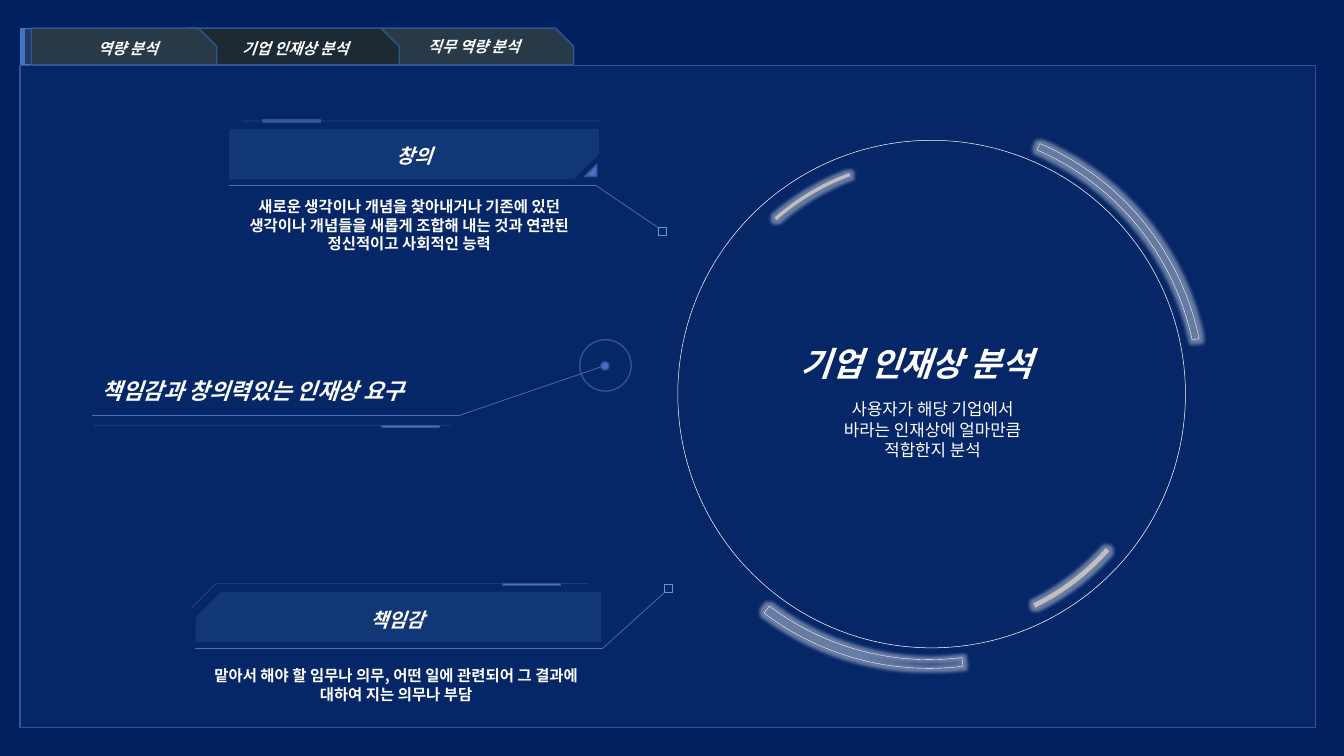
from lxml import etree
from pptx import Presentation, util as u
from pptx.dml.color import RGBColor
from pptx.enum import shapes as es, text as et
from pptx.oxml import ns

FONT = "Noto Sans CJK KR"
WHITE, SILVER = "FFFFFF", "BFBFBF"
NAVY, EDGE, BLUE, SKY = "002060", "325491", "4472C4", "5B9BD5"
SLATE, DARK = "283A48", "1D2933"

# label, tab left, tab width, fill, label left, label top, label width
TABS = [
    ("역량 분석", 0.31, 1.84, SLATE, 0.29, 0.34, 1.96),
    ("기업 인재상 분석", 1.87, 2.09, DARK, 2.03, 0.34, 1.8),
    ("직무 역량 분석", 3.78, 1.91, SLATE, 3.88, 0.32, 1.64),
]
TAB_TOP, TAB_HEIGHT = 0.28, 0.36

# name, name box, banner box, banner flip, meaning, meaning box
TRAITS = [
    ("창의", (2.27, 1.38, 3.68, 0.34), (2.27, 1.28, 3.67, 0.5), "flipV",
     "새로운 생각이나 개념을 찾아내거나 기존에 있던 생각이나 개념들을 새롭게 조합해 내는 것과 "
     "연관된 정신적이고 사회적인 능력", (2.27, 1.91, 3.58, 0.66)),
    ("책임감", (1.94, 5.98, 4.01, 0.34), (1.94, 5.87, 4.02, 0.5), "flipH",
     "맡아서 해야 할 임무나 의무, 어떤 일에 관련되어 그 결과에 대하여 지는 의무나 부담",
     (1.9, 6.56, 4.06, 0.47)),
]
DEMAND = "책임감과 창의력있는 인재상 요구"
TITLE = "기업 인재상 분석"
SUMMARY = ["사용자가 해당 기업에서", "바라는 인재상에 얼마만큼", "적합한지 분석"]

LEADERS = [
    [(6.6, 5.87), (5.98, 6.43), (1.93, 6.43)],
    [(6.53, 2.26), (5.91, 1.84), (2.27, 1.84)],
    [(5.99, 3.63), (4.56, 4.12), (0.91, 4.12)],
]
FAINT_RULES = [
    [(5.84, 5.79), (2.14, 5.79), (1.9, 6.03)],
    [(5.95, 1.2), (2.4, 1.2)],
    [(4.48, 4.22), (0.93, 4.22)],
]
ACCENT_BARS = [(4.99, 5.79), (2.61, 1.19), (3.79, 4.22)]
END_SQUARES = [(6.59, 5.8), (6.53, 2.26)]

# left, top, size, rotation, start degrees, end degrees, thickness, format
ARCS = [
    (6.5, 1.2, 5.43, 280, 162.88, 207.07, 0.016, dict(line=WHITE, weight=0.25, glow=5)),
    (6.52, 1.2, 5.43, 187.1, 106.27, 161.07, 0.013, dict(line=WHITE, weight=0.25, glow=5)),
    (6.72, 1.39, 5.04, 38, 163.26, 163.19, 0.001, dict(fill=WHITE)),
    (6.88, 1.57, 4.72, 111.2, 117.43, 138.51, 0.007, dict(fill=SILVER, glow=5)),
    (6.87, 1.55, 4.72, 276.2, 125.13, 147.68, 0.01, dict(fill=SILVER, glow=5)),
]

prs = Presentation()
prs.slide_width, prs.slide_height = u.Inches(13.33), u.Inches(7.5)
slide = prs.slides.add_slide(prs.slide_layouts[5])
MSO = es.MSO_SHAPE


def color(hex_string):
    return RGBColor.from_string(hex_string)


def inches(values):
    return [u.Inches(value) for value in values]


def set_alpha(fill_format_parent, percent):
    for rgb in fill_format_parent.iter(ns.qn("a:srgbClr")):
        etree.SubElement(rgb, ns.qn("a:alpha"), val=str(percent * 1000))


def add_glow(shape, points):
    effects = shape._element.spPr.find(ns.qn("a:effectLst"))
    glow = etree.SubElement(effects, ns.qn("a:glow"), rad=str(u.Pt(points)))
    tint = etree.SubElement(glow, ns.qn("a:srgbClr"), val=WHITE)
    etree.SubElement(tint, ns.qn("a:alpha"), val="40000")


def draw(kind, box, fill=None, line=None, weight=1, alpha=None, flip=None,
         rotation=0, adjust=(), glow=0):
    shape = slide.shapes.add_shape(kind, *inches(box))
    shape.shadow.inherit = False
    shape.rotation = rotation
    for index, value in enumerate(adjust):
        shape.adjustments[index] = value
    if fill:
        shape.fill.solid()
        shape.fill.fore_color.rgb = color(fill)
    else:
        shape.fill.background()
    if alpha:
        set_alpha(shape._element.spPr, alpha)
    if line:
        shape.line.color.rgb = color(line)
        shape.line.width = u.Pt(weight)
    else:
        shape.line.fill.background()
    if flip:
        shape._element.spPr.xfrm.set(flip, "1")
    if glow:
        add_glow(shape, glow)


def polyline(points, hex_string, alpha=None):
    """Join the points with straight connectors."""
    for start, end in zip(points, points[1:]):
        rule = slide.shapes.add_connector(es.MSO_CONNECTOR.STRAIGHT, *inches(start + end))
        rule.line.color.rgb = color(hex_string)
        rule.line.width = u.Pt(0.5)
        if alpha:
            set_alpha(rule._element.spPr, alpha)
        etree.SubElement(rule._element.spPr, ns.qn("a:effectLst"))


def write(lines, box, size, bold=True, italic=False, align=et.PP_ALIGN.CENTER, holder=None):
    """Put lines of text in a new text box, or in the given placeholder."""
    holder = holder or slide.shapes.add_textbox(*inches(box))
    holder.left, holder.top, holder.width, holder.height = inches(box)
    frame = holder.text_frame
    frame.word_wrap = True
    frame.auto_size = et.MSO_AUTO_SIZE.NONE
    frame.vertical_anchor = et.MSO_ANCHOR.TOP
    frame.text = "\n".join(lines)
    for paragraph in frame.paragraphs:
        paragraph.alignment = align
        font = paragraph.runs[0].font
        font.name, font.size = FONT, u.Pt(size)
        font.bold, font.italic = bold, italic
        font.color.rgb = color(WHITE)
        etree.SubElement(font._element, ns.qn("a:ea"), typeface=FONT)


slide.background.fill.solid()
slide.background.fill.fore_color.rgb = color(NAVY)

draw(MSO.ROUNDED_RECTANGLE, (0.2, 0.65, 12.85, 6.57), BLUE, EDGE, alpha=8, adjust=[0])
draw(MSO.RECTANGLE, (0.2, TAB_TOP, 0.04, TAB_HEIGHT), BLUE, BLUE, 0.5)
draw(MSO.RECTANGLE, (0.24, TAB_TOP, 0.08, TAB_HEIGHT), "203864", BLUE, 0.5)
for label, left, width, fill, label_left, label_top, label_width in reversed(TABS):
    draw(MSO.SNIP_1_RECTANGLE, (left, TAB_TOP, width, TAB_HEIGHT), fill, EDGE, adjust=[0.5])
    write([label], (label_left, label_top, label_width, 0.29), 11, italic=True)

for left, top, size, rotation, start, end, thickness, style in ARCS:
    # Adjustments count in 100000ths, angles in 60000ths of a degree
    draw(MSO.BLOCK_ARC, (left, top, size, size), rotation=rotation,
         adjust=[start * 0.6, end * 0.6, thickness], **style)

for points in LEADERS:
    polyline(points, BLUE)
for points in FAINT_RULES:
    polyline(points, SKY, alpha=30)
for left, top in ACCENT_BARS:
    draw(MSO.RECTANGLE, (left, top, 0.57, 0.02), BLUE, EDGE)
for left, top in END_SQUARES:
    draw(MSO.RECTANGLE, (left, top, 0.08, 0.08), line=SKY, weight=0.5)

for name, name_box, banner_box, flip, meaning, meaning_box in TRAITS:
    draw(MSO.SNIP_1_RECTANGLE, banner_box, SKY, alpha=15, flip=flip, adjust=[0.5])
    write([name], name_box, 14, italic=True)
    write([meaning], meaning_box, 11)
draw(MSO.RIGHT_TRIANGLE, (5.8, 1.63, 0.12, 0.12), BLUE, EDGE, flip="flipH")

draw(MSO.OVAL, (5.75, 3.37, 0.51, 0.51), line=EDGE)
draw(MSO.OVAL, (5.96, 3.59, 0.08, 0.08), BLUE, EDGE)
write([DEMAND], (0.91, 3.69, 3.6, 0.37), 16, italic=True, align=et.PP_ALIGN.LEFT)

title = slide.shapes.title
slide.shapes._spTree.append(title._element)
write([TITLE], (7.84, 3.35, 2.76, 0.5), 24, italic=True, align=et.PP_ALIGN.LEFT, holder=title)
write(SUMMARY, (8.11, 3.91, 2.28, 0.71), 12, bold=False)

prs.save("out.pptx")
